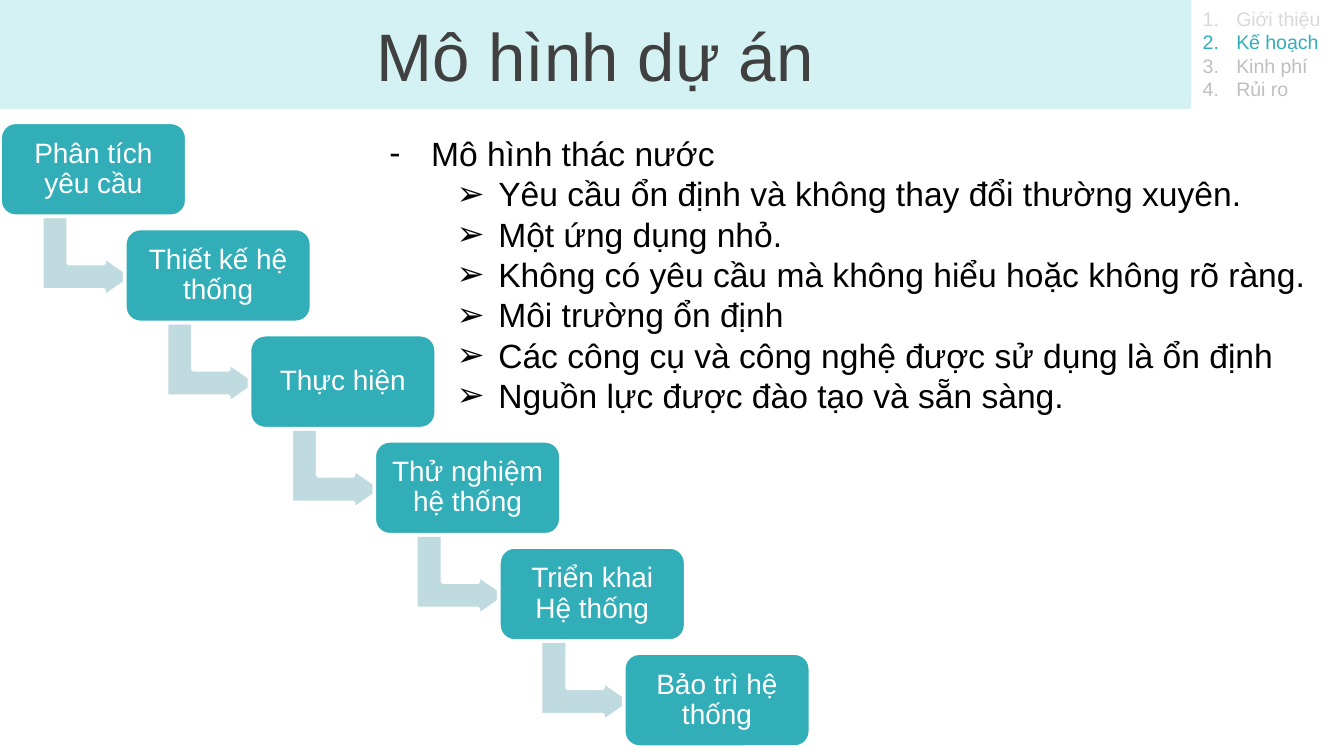
"""Builds the project model slide: a waterfall of six phases beside its conditions."""
import pptx
import pptx.util
import pptx.dml.color
import pptx.enum.shapes
import pptx.enum.text
import pptx.oxml.ns
import lxml.etree

Inches, Pt = pptx.util.Inches, pptx.util.Pt
SHAPES = pptx.enum.shapes.MSO_SHAPE
CENTER = pptx.enum.text.PP_ALIGN.CENTER
MIDDLE = pptx.enum.text.MSO_ANCHOR.MIDDLE
TEAL, PALE_TEAL, WHITE = "32AEB8", "BFDBDF", "FFFFFF"


def paint(shape, fill, line, width):
    """Fill and outline a shape without shadow."""
    shape.shadow.inherit = False
    shape.fill.solid()
    shape.fill.fore_color.rgb = pptx.dml.color.RGBColor.from_string(fill)
    shape.line.color.rgb = pptx.dml.color.RGBColor.from_string(line)
    shape.line.width = Pt(width)


def write(paragraph, text, size, color, bullet=None, margin=0, hang=0):
    """Add one run, with an optional bullet tag, its attributes and indents."""
    run = paragraph.add_run()
    run.text = text
    run.font.name = "Arial"
    run.font.size = Pt(size)
    run.font.color.rgb = pptx.dml.color.RGBColor.from_string(color)
    if bullet:
        properties = paragraph._p.get_or_add_pPr()
        properties.set("marL", str(Inches(margin)))
        properties.set("indent", str(-Inches(hang)))
        for tag, attributes in [("a:buFont", {"typeface": "Arial"}), bullet]:
            lxml.etree.SubElement(properties, pptx.oxml.ns.qn(tag), attributes)


prs = pptx.Presentation()
prs.slide_width = Inches(10)
prs.slide_height = prs.slide_width * 9 // 16
slide = prs.slides.add_slide(prs.slide_layouts[5])

agenda = slide.shapes.add_textbox(Inches(8.85), 0, Inches(1.15), Inches(0.81)).text_frame
agenda.word_wrap = True
sections = [("Giới thiệu", "D9D9D9"), ("Kế hoạch", TEAL), ("Kinh phí", "BFBFBF"), ("Rủi ro", "BFBFBF")]
for index, (section, color) in enumerate(sections):
    paragraph = agenda.add_paragraph() if index else agenda.paragraphs[0]
    write(paragraph, section, 10.5, color, ("a:buAutoNum", {"type": "arabicPeriod"}), 0.25, 0.25)

title = slide.shapes.title
title.left, title.top, title.width, title.height = 0, 0, Inches(8.86), Inches(0.81)
paint(title, "D4F1F3", "D4F1F3", 0.75)
title.text_frame.vertical_anchor = MIDDLE
title.text_frame.paragraphs[0].alignment = CENTER
write(title.text_frame.paragraphs[0], "Mô hình dự án", 36, "404040")

conditions = slide.shapes.add_textbox(Inches(2.8), Inches(0.94), Inches(7.2), Inches(2.52)).text_frame
conditions.word_wrap = True
write(conditions.paragraphs[0], "Mô hình thác nước", 18, "000000", ("a:buChar", {"char": "-"}), 0.31, 0.31)
for condition in [
    "Yêu cầu ổn định và không thay đổi thường xuyên.",
    "Một ứng dụng nhỏ.",
    "Không có yêu cầu mà không hiểu hoặc không rõ ràng.",
    "Môi trường ổn định",
    "Các công cụ và công nghệ được sử dụng là ổn định",
    "Nguồn lực được đào tạo và sẵn sàng.",
]:
    paragraph = conditions.add_paragraph()
    paragraph.level = 1
    write(paragraph, condition, 18, "000000", ("a:buChar", {"char": "➢"}), 0.81, 0.31)

phases = ["Phân tích yêu cầu", "Thiết kế hệ thống", "Thực hiện",
          "Thử nghiệm hệ thống", "Triển khai Hệ thống", "Bảo trì hệ thống"]
step_across = 4.64 / (len(phases) - 1)
step_down = (4.86 - 0.91) / (len(phases) - 1)
for index, phase in enumerate(phases):
    left, top = index * step_across, 0.91 + index * step_down
    if index < len(phases) - 1:
        arrow = slide.shapes.add_shape(
            SHAPES.BENT_UP_ARROW, Inches(left + 0.35), Inches(top + 0.66), Inches(0.6), Inches(0.68))
        arrow.rotation = 90
        for position, share in enumerate([0.33, 0.25, 0.36]):
            arrow.adjustments[position] = share
        paint(arrow, PALE_TEAL, WHITE, 2)
    box = slide.shapes.add_shape(
        SHAPES.ROUNDED_RECTANGLE, Inches(left), Inches(top), Inches(1.39), Inches(0.7))
    paint(box, TEAL, WHITE, 2)
    frame = box.text_frame
    frame.word_wrap = True
    frame.vertical_anchor = MIDDLE
    frame.margin_left = frame.margin_right = frame.margin_top = frame.margin_bottom = Inches(0.06)
    frame.paragraphs[0].alignment = CENTER
    frame.paragraphs[0].line_spacing = 0.9
    write(frame.paragraphs[0], phase, 15, WHITE)

prs.save("out.pptx")
